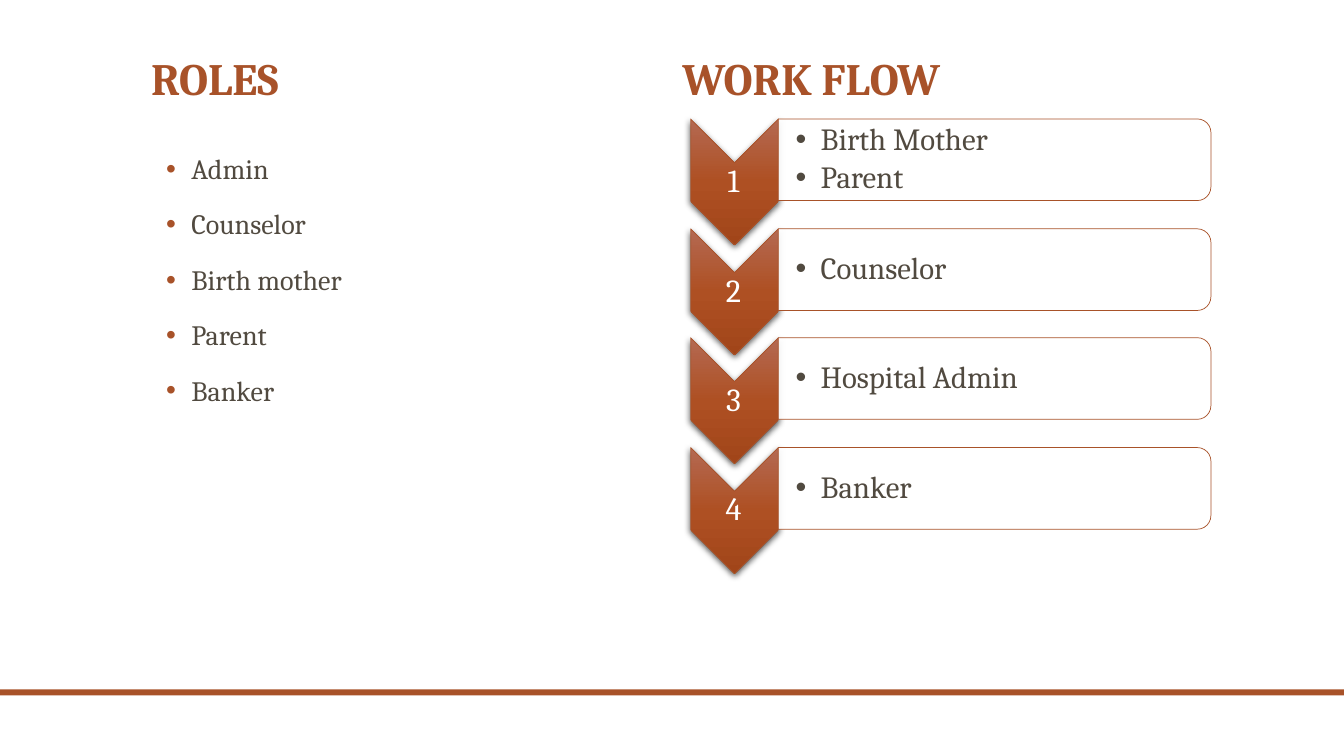
import pptx
import pptx.util
import pptx.dml.color
import pptx.enum.shapes
import pptx.enum.text
import pptx.oxml
import pptx.oxml.ns

SCALE = 9144
FONT = "Cambria"
RUST = "A85229"
INK = "514A40"
WHITE = "FFFFFF"
KINDS = pptx.enum.shapes.MSO_SHAPE
ANCHOR = pptx.enum.text.MSO_ANCHOR
ALIGN = pptx.enum.text.PP_ALIGN
NS = pptx.oxml.ns.nsdecls("a")

GRADE = f"""<a:gradFill {NS} rotWithShape="0"><a:gsLst>
<a:gs pos="0"><a:srgbClr val="B46952"/></a:gs>
<a:gs pos="50000"><a:srgbClr val="AE5023"/></a:gs>
<a:gs pos="100000"><a:srgbClr val="A14519"/></a:gs>
</a:gsLst><a:lin ang="5400000" scaled="0"/></a:gradFill>"""
SHADE = f"""<a:effectLst {NS}>
<a:outerShdw blurRad="57150" dist="19050" dir="5400000" algn="ctr" rotWithShape="0">
<a:srgbClr val="000000"><a:alpha val="63000"/></a:srgbClr></a:outerShdw></a:effectLst>"""

ROLES = ["Admin", "Counselor", "Birth mother", "Parent", "Banker"]
STEPS = [["Birth Mother", "Parent"], ["Counselor"], ["Hospital Admin"], ["Banker"]]


def px(count):
    return pptx.util.Emu(count * SCALE)


def color(code):
    return pptx.dml.color.RGBColor.from_string(code)


def add_shape(slide, kind, left, top, width, height, fill, edge=None, turn=0):
    shape = slide.shapes.add_shape(kind, px(left), px(top), px(width), px(height))
    shape.shadow.inherit = False
    shape.rotation = turn
    shape.fill.solid()
    shape.fill.fore_color.rgb = color(fill)
    if edge:
        shape.line.color.rgb = color(edge)
        shape.line.width = pptx.util.Pt(0.5)
    else:
        shape.line.fill.background()
    return shape


def add_bullet(para, margin, hang, tint):
    props = para._p.get_or_add_pPr()
    props.set("marL", str(px(margin)))
    props.set("indent", str(px(-hang)))
    props.append(pptx.oxml.parse_xml(f'<a:buClr {NS}><a:srgbClr val="{tint}"/></a:buClr>'))
    props.append(pptx.oxml.parse_xml(f'<a:buFont {NS} typeface="Arial"/>'))
    props.append(pptx.oxml.parse_xml(f'<a:buChar {NS} char="•"/>'))


def add_text(slide, place, lines, size, tint, anchor=ANCHOR.MIDDLE, pad=(10, 5, 10, 5),
             align=ALIGN.LEFT, bold=False, bullet=None, gap=0):
    frame = slide.shapes.add_textbox(*map(px, place)).text_frame
    frame.word_wrap = True
    frame.vertical_anchor = anchor
    frame.margin_left, frame.margin_top, frame.margin_right, frame.margin_bottom = map(px, pad)
    for index, line in enumerate(lines):
        para = frame.add_paragraph() if index else frame.paragraphs[0]
        para.text = line
        para.alignment = align
        para.line_spacing = 0.9
        if index:
            para.space_before = pptx.util.Pt(gap)
        if bullet:
            add_bullet(para, *bullet)
        para.font.name = FONT
        para.font.size = pptx.util.Pt(size)
        para.font.bold = bold
        para.font.color.rgb = color(tint)


def add_title(slide, left, text):
    add_text(slide, (left, 34, 493, 75), [text], 32, RUST, ANCHOR.BOTTOM, bold=True)


def add_arrow(slide, top, label):
    arrow = add_shape(slide, KINDS.CHEVRON, 666, top + 19, 125, 87, RUST, RUST, 90)
    props = arrow._element.spPr
    props.replace(props.find(pptx.oxml.ns.qn("a:solidFill")), pptx.oxml.parse_xml(GRADE))
    props.replace(props.find(pptx.oxml.ns.qn("a:effectLst")), pptx.oxml.parse_xml(SHADE))
    add_text(slide, (684, top + 44, 87, 37), [label], 23, WHITE,
             pad=(2, 2, 2, 2), align=ALIGN.CENTER)


def add_panel(slide, top, lines):
    panel = add_shape(slide, KINDS.ROUND_2_SAME_RECTANGLE, 946, top - 174, 81, 429,
                      WHITE, RUST, 90)
    tone = panel._element.spPr.find(pptx.oxml.ns.qn("a:solidFill"))[0]
    tone.append(pptx.oxml.parse_xml(f'<a:alpha {NS} val="90000"/>'))
    add_text(slide, (772, top + 4, 425, 73), lines, 22, INK,
             pad=(17, 2, 2, 2), bullet=(25, 25, INK), gap=3.3)


def main():
    deck = pptx.Presentation()
    deck.slide_width, deck.slide_height = px(1333), px(750)
    slide = deck.slides.add_slide(deck.slide_layouts[6])
    add_shape(slide, KINDS.RECTANGLE, 0, 684, 1333, 6, RUST)
    add_title(slide, 140, "ROLES")
    add_text(slide, (150, 149, 517, 420), ROLES, 20, INK, ANCHOR.TOP,
             bullet=(30, 25, RUST), gap=18)
    for index, lines in enumerate(STEPS):
        top = 118 + round(index * 326 / 3)
        add_arrow(slide, top, str(index + 1))
        add_panel(slide, top, lines)
    add_title(slide, 667, "WORK FLOW")
    deck.save("out.pptx")


if __name__ == "__main__":
    main()
